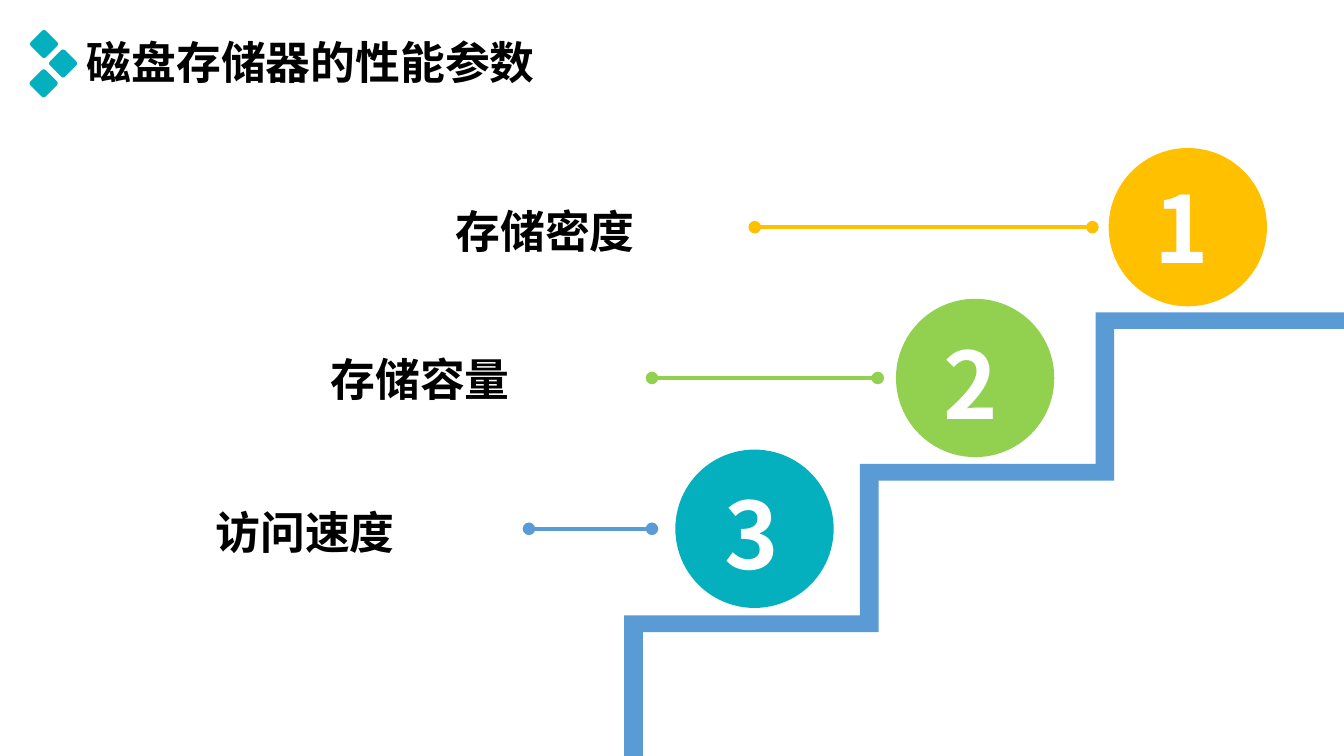
"""Build a slide ranking three disk storage parameters on a staircase."""
from dataclasses import dataclass

from lxml.etree import SubElement
from pptx import Presentation
from pptx.dml.color import RGBColor
from pptx.enum.shapes import MSO_CONNECTOR, MSO_SHAPE
from pptx.enum.text import MSO_ANCHOR, MSO_AUTO_SIZE, PP_ALIGN
from pptx.oxml.ns import qn
from pptx.util import Cm, Pt


@dataclass(frozen=True)
class Theme:
    font: str = "Noto Sans CJK SC"
    text: str = "000000"
    inverse: str = "FFFFFF"
    teal: str = "04B0BE"
    green: str = "92D050"
    amber: str = "FFC000"
    blue: str = "5B9BD5"
    heading_size: int = 32
    number_size: int = 66
    line_width: int = 3


THEME = Theme()
SLIDE_WIDTH, SLIDE_HEIGHT = 33.87, 19.05

TITLE = "磁盘存储器的性能参数"
DIAMOND_CENTERS = [(1.11, 1.11), (1.59, 1.6), (1.1, 2.1)]
DIAMOND_SIDE = 0.54

PARAMETERS = [
    dict(number="1", label="存储密度", circle=THEME.amber, line=THEME.amber,
         circle_left=27.94, number_at=(28.85, 4.19), label_at=(9.96, 5.0),
         line_span=(27.53, 19.02)),
    dict(number="2", label="存储容量", circle=THEME.green, line=THEME.green,
         circle_left=22.58, number_at=(23.52, 8.13), label_at=(6.81, 8.74),
         line_span=(22.12, 16.43)),
    dict(number="3", label="访问速度", circle=THEME.teal, line=THEME.blue,
         circle_left=17.02, number_at=(18.01, 11.91), label_at=(3.91, 12.6),
         line_span=(16.43, 13.33)),
]
CIRCLE_TOP, CIRCLE_PITCH, CIRCLE_SIZE = 3.73, 3.8, 3.99
NUMBER_SIZE = (2.01, 3.07)
LABEL_SIZE = (6.35, 1.63)
LABEL_INDENT = 1.27

STAIR_LEFT, STAIR_TOP, STAIR_RIGHT = 15.73, 15.51, 34.01
STEP_WIDTH, STEP_HEIGHT, STEP_COUNT = 5.94, 3.82, 3
RISER, TREAD = 0.47, 0.42


def fill_shape(shape, color):
    """Give a shape a plain fill without outline or shadow."""
    shape.shadow.inherit = False
    shape.fill.solid()
    shape.fill.fore_color.rgb = RGBColor.from_string(color)
    shape.line.fill.background()


def write(shape, text, size, color, wrap=True, indent=0):
    """Write one bold paragraph into a shape that grows with its text."""
    frame = shape.text_frame
    frame.text = text
    frame.word_wrap = wrap
    frame.auto_size = MSO_AUTO_SIZE.SHAPE_TO_FIT_TEXT
    frame.vertical_anchor = MSO_ANCHOR.TOP
    paragraph = frame.paragraphs[0]
    paragraph.alignment = PP_ALIGN.LEFT
    properties = paragraph._p.get_or_add_pPr()
    if indent:
        paragraph.level = 1
        properties.set("marL", str(Cm(indent)))
        properties.set("indent", "0")
    font = paragraph.font
    font.size, font.bold, font.name = Pt(size), True, THEME.font
    font.color.rgb = RGBColor.from_string(color)
    east_asian = SubElement(properties.find(qn("a:defRPr")), qn("a:ea"))
    east_asian.set("typeface", THEME.font)
    return paragraph


def add_text(slide, position, size, *args, **options):
    """Add a text box at a position given in centimetres."""
    box = slide.shapes.add_textbox(*map(Cm, position + size))
    write(box, *args, **options)


def add_title(slide):
    """Place the title and its three diamonds."""
    title = slide.shapes.title
    title.left, title.top, title.width, title.height = map(Cm, (1.93, 0.91, 16.59, 1.5))
    paragraph = write(title, TITLE, THEME.heading_size, THEME.text)
    paragraph.line_spacing = 0.9
    for x, y in DIAMOND_CENTERS:
        diamond = slide.shapes.add_shape(
            MSO_SHAPE.ROUNDED_RECTANGLE, Cm(x - DIAMOND_SIDE / 2),
            Cm(y - DIAMOND_SIDE / 2), Cm(DIAMOND_SIDE), Cm(DIAMOND_SIDE))
        diamond.adjustments[0] = 0.13
        diamond.rotation = 45
        fill_shape(diamond, THEME.teal)


def add_staircase(slide):
    """Draw the staircase as one outline: upper edge out, lower edge back."""
    corners = [(STAIR_LEFT + i * STEP_WIDTH, STAIR_TOP - i * STEP_HEIGHT)
               for i in range(STEP_COUNT)]
    ends = [x for x, _ in corners[1:]] + [STAIR_RIGHT]
    bases = [SLIDE_HEIGHT] + [y for _, y in corners[:-1]]
    upper, lower = [], []
    for index, ((x, y), end, base) in enumerate(zip(corners, ends, bases)):
        last = index == STEP_COUNT - 1
        upper += [(x, y), (end, y)]
        lower += [(x + RISER, base + (TREAD if index else 0)),
                  (x + RISER, y + TREAD)]
        if last:
            lower.append((end, y + TREAD))
    points = [(Cm(x), Cm(y)) for x, y in upper + lower[::-1]]
    builder = slide.shapes.build_freeform(Cm(STAIR_LEFT), Cm(SLIDE_HEIGHT))
    builder.add_line_segments(points, close=True)
    fill_shape(builder.convert_to_shape(), THEME.blue)


def add_leader(slide, span, y, color):
    """Draw a level line with a dot at each end."""
    start, end = span
    leader = slide.shapes.add_connector(
        MSO_CONNECTOR.STRAIGHT, Cm(start), Cm(y), Cm(end), Cm(y))
    leader.line.color.rgb = RGBColor.from_string(color)
    leader.line.width = Pt(THEME.line_width)
    outline = leader.line._get_or_add_ln()
    for tag in ("a:headEnd", "a:tailEnd"):
        SubElement(outline, qn(tag)).set("type", "oval")
    SubElement(leader._element.spPr, qn("a:effectLst"))


def add_parameter(slide, index, parameter):
    """Draw one numbered circle with its line and label."""
    top = CIRCLE_TOP + index * CIRCLE_PITCH
    circle = slide.shapes.add_shape(
        MSO_SHAPE.OVAL, Cm(parameter["circle_left"]), Cm(top),
        Cm(CIRCLE_SIZE), Cm(CIRCLE_SIZE))
    fill_shape(circle, parameter["circle"])
    add_leader(slide, parameter["line_span"], top + CIRCLE_SIZE / 2, parameter["line"])
    add_text(slide, parameter["number_at"], NUMBER_SIZE, parameter["number"],
             THEME.number_size, THEME.inverse)
    add_text(slide, parameter["label_at"], LABEL_SIZE, parameter["label"],
             THEME.heading_size, THEME.text, wrap=False, indent=LABEL_INDENT)


def main():
    """Create and save the presentation."""
    presentation = Presentation()
    presentation.slide_width = Cm(SLIDE_WIDTH)
    presentation.slide_height = Cm(SLIDE_HEIGHT)
    slide = presentation.slides.add_slide(presentation.slide_layouts[5])
    add_title(slide)
    add_staircase(slide)
    for index, parameter in enumerate(PARAMETERS):
        add_parameter(slide, index, parameter)
    presentation.save("out.pptx")


if __name__ == "__main__":
    main()
